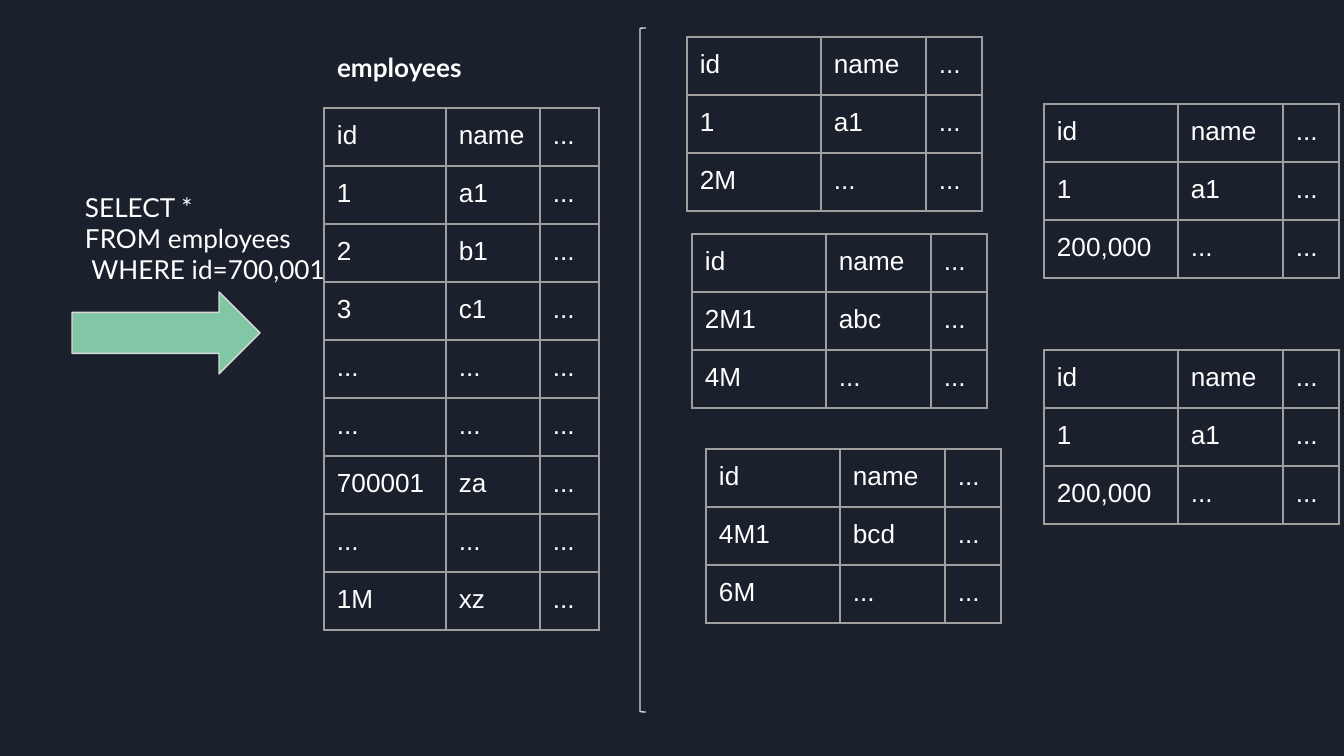
"""Build a slide comparing one employees table with its partitions."""
from dataclasses import dataclass
from typing import NamedTuple

from lxml.etree import SubElement
from pptx import Presentation
from pptx.dml.color import RGBColor
from pptx.enum.shapes import MSO_SHAPE as Preset
from pptx.enum.text import MSO_ANCHOR as Anchor, MSO_AUTO_SIZE as AutoSize, PP_ALIGN as Align
from pptx.oxml.ns import qn
from pptx.util import Emu, Pt

EMU_PER_PX = 914400 / 134.4
INSET = 13
ROW_HEIGHT = 58
MORE = "..."


@dataclass(frozen=True)
class Theme:
    background: str = "1B212C"
    text: str = "FFFFFF"
    arrow: str = "82C7A5"
    outline: str = "D9D9D9"
    grid: str = "9E9E9E"
    label_font: str = "Lato"
    cell_font: str = "Arial"
    text_size: int = 14
    line_width: float = 0.75


class Box(NamedTuple):
    left: int
    top: int
    width: int
    height: int


@dataclass(frozen=True)
class DataTable:
    left: int
    top: int
    records: tuple[tuple[str, str], ...]
    columns: tuple[int, ...] = (134, 105, 56)


THEME = Theme()
TABLES = (
    DataTable(324, 108, (("1", "a1"), ("2", "b1"), ("3", "c1"), (MORE, MORE), (MORE, MORE),
                         ("700001", "za"), (MORE, MORE), ("1M", "xz")), (122, 94, 59)),
    DataTable(687, 37, (("1", "a1"), ("2M", MORE))),
    DataTable(706, 449, (("4M1", "bcd"), ("6M", MORE))),
    DataTable(692, 234, (("2M1", "abc"), ("4M", MORE))),
    DataTable(1044, 104, (("1", "a1"), ("200,000", MORE))),
    DataTable(1044, 350, (("1", "a1"), ("200,000", MORE))),
)


def px(length: int) -> Emu:
    return Emu(round(length * EMU_PER_PX))


def place(box: Box) -> tuple[Emu, ...]:
    return tuple(px(length) for length in box)


def rgb(value: str) -> RGBColor:
    return RGBColor.from_string(value)


def style_text(frame, font_name: str, bold: bool = False) -> None:
    for paragraph in frame.paragraphs:
        paragraph.alignment = Align.LEFT
        for run in paragraph.runs:
            run.font.name = font_name
            run.font.size = Pt(THEME.text_size)
            run.font.bold = bold
            run.font.color.rgb = rgb(THEME.text)


def write_label(label, box: Box, text: str, bold: bool = False) -> None:
    label.left, label.top, label.width, label.height = place(box)
    frame = label.text_frame
    frame.text = text
    frame.word_wrap = True
    frame.auto_size = AutoSize.NONE
    frame.vertical_anchor = Anchor.TOP
    frame.margin_left = frame.margin_right = px(INSET)
    frame.margin_top = frame.margin_bottom = px(INSET)
    style_text(frame, THEME.label_font, bold)


def draw_borders(cell) -> None:
    properties = cell._tc.get_or_add_tcPr()
    for side in ("lnL", "lnR", "lnT", "lnB"):
        border = SubElement(properties, qn(f"a:{side}"), w=str(Pt(THEME.line_width)))
        fill = SubElement(border, qn("a:solidFill"))
        SubElement(fill, qn("a:srgbClr"), val=THEME.grid)


def draw_table(slide, data: DataTable) -> None:
    rows = (("id", "name"), *data.records)
    box = Box(data.left, data.top, sum(data.columns), ROW_HEIGHT * len(rows))
    grid = slide.shapes.add_table(len(rows), len(data.columns), *place(box)).table
    grid.first_row = grid.horz_banding = False
    for column, width in zip(grid.columns, data.columns):
        column.width = px(width)
    for row, record in zip(grid.rows, rows):
        row.height = px(ROW_HEIGHT)
        for cell, value in zip(row.cells, (*record, MORE)):
            cell.text_frame.text = value
            cell.margin_left = cell.margin_right = px(INSET)
            cell.margin_top = cell.margin_bottom = px(INSET)
            style_text(cell.text_frame, THEME.cell_font)
            draw_borders(cell)
            cell.fill.background()


def draw_outline(slide, preset: Preset, box: Box, fill: str | None = None):
    outline = slide.shapes.add_shape(preset, *place(box))
    outline.shadow.inherit = False
    outline.line.color.rgb = rgb(THEME.outline)
    outline.line.width = Pt(THEME.line_width)
    if fill:
        outline.fill.solid()
        outline.fill.fore_color.rgb = rgb(fill)
    else:
        outline.fill.background()
    return outline


def main() -> None:
    deck = Presentation()
    deck.slide_width, deck.slide_height = px(1344), px(756)
    slide = deck.slides.add_slide(deck.slide_layouts[5])
    slide.background.fill.solid()
    slide.background.fill.fore_color.rgb = rgb(THEME.background)

    query_box = Box(72, 178, 274, 122)
    query = slide.shapes.add_textbox(*place(query_box))
    write_label(query, query_box, "SELECT *\nFROM employees\n WHERE id=700,001")
    draw_outline(slide, Preset.RIGHT_ARROW, Box(72, 292, 188, 82), THEME.arrow)
    write_label(slide.shapes.title, Box(324, 38, 173, 59), "employees", bold=True)
    for data in TABLES:
        draw_table(slide, data)
    divider = draw_outline(slide, Preset.LEFT_BRACKET, Box(640, 28, 6, 684))
    divider.adjustments[0] = 0.08

    deck.save("out.pptx")


if __name__ == "__main__":
    main()
